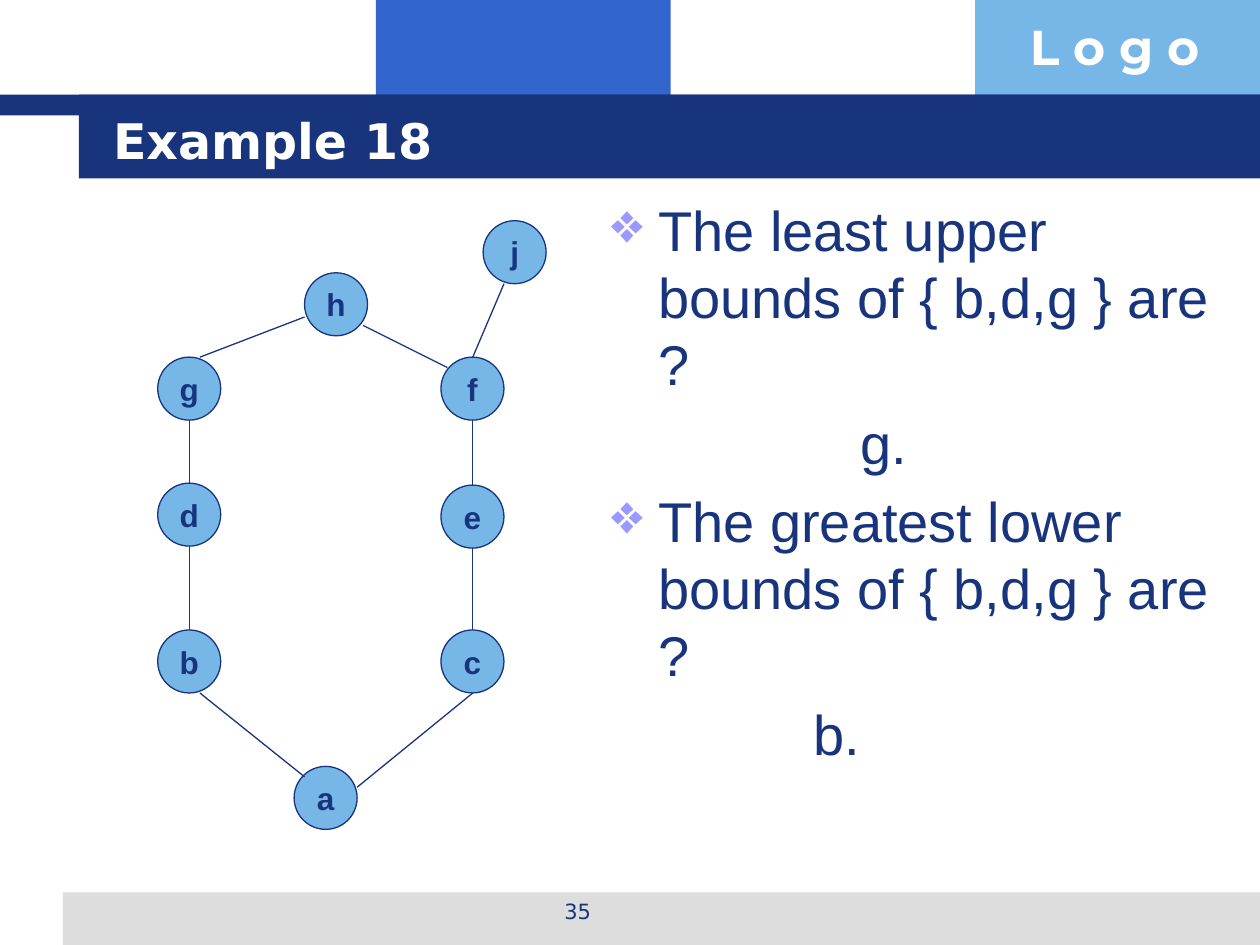
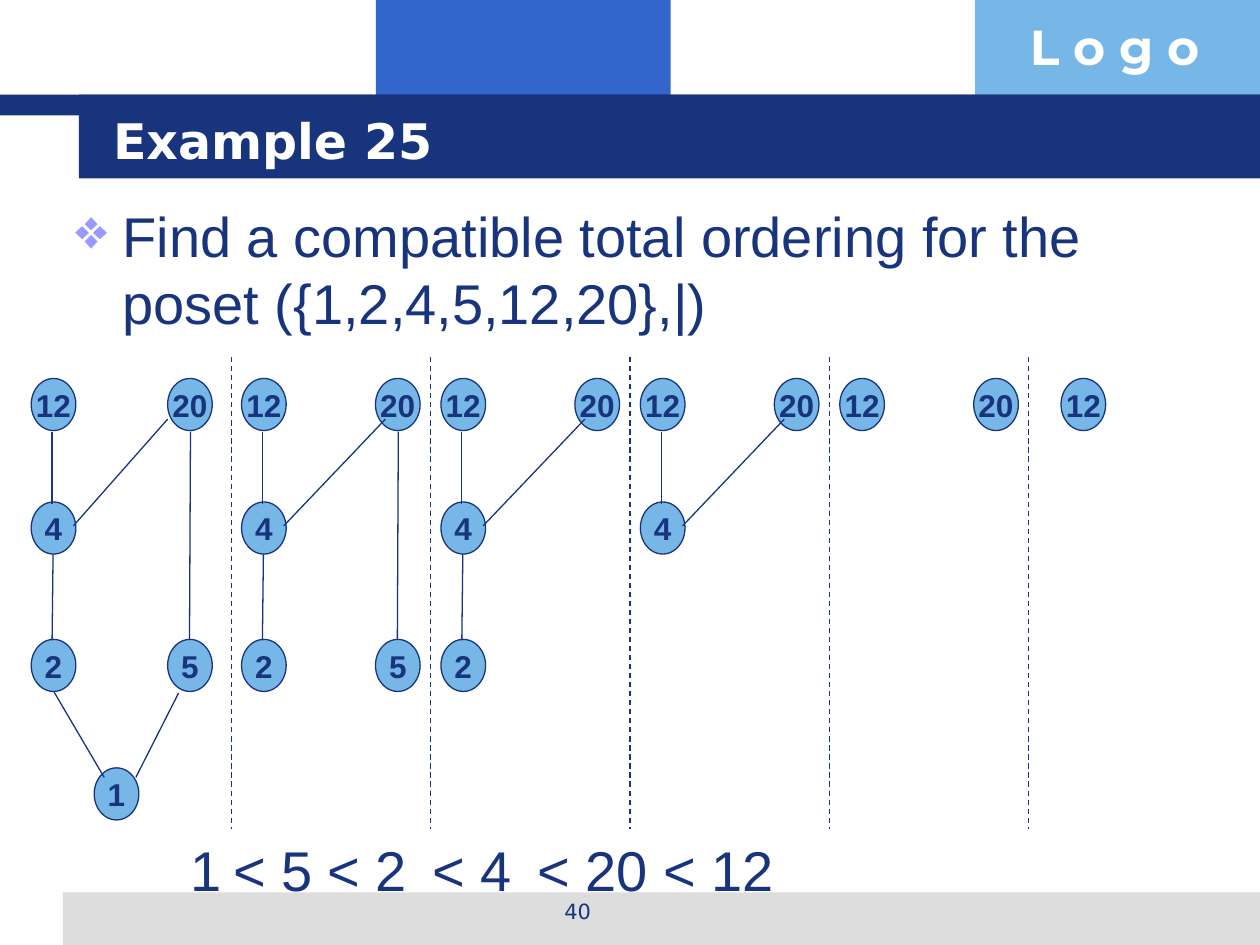
from dataclasses import dataclass
from typing import NamedTuple

from lxml.etree import SubElement
from pptx import Presentation
from pptx.dml.color import RGBColor
from pptx.enum.dml import MSO_LINE_DASH_STYLE as Dash
from pptx.enum.shapes import MSO_CONNECTOR as Connector, MSO_SHAPE as Preset
from pptx.enum.text import MSO_ANCHOR as Anchor, PP_ALIGN as Align
from pptx.oxml.ns import qn
from pptx.shapes.autoshape import Shape
from pptx.slide import Slide
from pptx.text.text import TextFrame
from pptx.util import Cm, Pt

COLORS = {
    "navy": "17347D",
    "blue": "3366CC",
    "sky": "77B7E7",
    "gray": "DDDDDD",
    "lilac": "9999FF",
    "white": "FFFFFF",
}
BODY_FONT = "Arial"
TITLE_FONT = "DejaVu Sans"
LOGO_FONT = "Montserrat"


class Box(NamedTuple):
    left: float
    top: float
    width: float
    height: float


class Point(NamedTuple):
    x: float
    y: float


class Band(NamedTuple):
    box: Box
    color: str


class Edge(NamedTuple):
    """A line between two nodes; its ends are measured from each node's corner."""
    upper: str
    lower: str
    start: Point
    end: Point


class Line(NamedTuple):
    text: str
    bullet: bool = False
    indent: float = 0


@dataclass
class Stage:
    """One step of the sort: the elements that are still left."""
    left: float
    elements: list[str]
    spread: float = 2.7
    slope_start: float = 0.2


# Shared frame of the slides
BANDS = [
    Band(Box(7.58, 0, 5.94, 2.34), "blue"),
    Band(Box(19.66, 0, 5.74, 2.34), "sky"),
    Band(Box(1.27, 17.99, 24.13, 1.06), "gray"),
    Band(Box(0, 1.91, 25.4, 0.42), "navy"),
    Band(Box(1.59, 1.91, 23.81, 1.69), "navy"),
]

# Example 18: Hasse diagram
NODE_SIZE = Point(1.27, 1.27)
LEFT_X, RIGHT_X = 3.18, 8.89
POSET_NODES = {
    "h": Point(6.14, 5.5),
    "g": Point(LEFT_X, 7.2),
    "f": Point(RIGHT_X, 7.2),
    "j": Point(9.74, 4.45),
    "d": Point(LEFT_X, 9.74),
    "e": Point(RIGHT_X, 9.78),
    "a": Point(5.93, 15.45),
    "c": Point(RIGHT_X, 12.7),
    "b": Point(LEFT_X, 12.7),
}
NODE_TOP, NODE_BOTTOM = Point(0.64, 0), Point(0.64, 1.27)
POSET_EDGES = [
    Edge("h", "g", Point(0, 0.89), Point(0.85, 0)),
    Edge("h", "f", Point(1.18, 1.06), Point(0.13, 0.21)),
    Edge("j", "f", Point(0.42, 1.27), NODE_TOP),
    *(Edge(upper, lower, NODE_BOTTOM, NODE_TOP)
      for upper, lower in ("gd", "db", "fe", "ec")),
    Edge("b", "a", Point(0.85, 1.27), Point(0.21, 0.21)),
    Edge("c", "a", NODE_BOTTOM, Point(1.27, 0.42)),
]

# Example 25: steps of the topological sort
ELEMENT_SIZE = Point(0.9, 1.05)
STAGE_TOP = 7.63
DIVIDER_LEFT, DIVIDER_PITCH = 4.66, 4.02
DIVIDER_TOP, DIVIDER_BOTTOM = 7.2, 16.72
DIVIDERS = [DIVIDER_LEFT + i * DIVIDER_PITCH for i in range(5)]
STAGE_MARGIN = 0.21
STAGES = [
    Stage(0.63, ["4", "2", "20", "12", "1", "5"], spread=2.75, slope_start=0),
    *(Stage(divider + STAGE_MARGIN, elements)
      for divider, elements in zip(DIVIDERS, [
          ["4", "2", "20", "12", "5"],
          ["4", "2", "20", "12"],
          ["4", "20", "12"],
          ["20", "12"],
      ])),
    Stage(21.39, ["12"]),
]
ORDERING = [
    ("1", 3.6, 1.7),
    ("< 5", 4.45, 2.34),
    ("< 2", 6.35, 2.34),
    ("< 4", 8.46, 2.34),
    ("< 20", 10.58, 3),
    ("< 12", 13.12, 3),
]


def rgb(name: str) -> RGBColor:
    return RGBColor.from_string(COLORS[name])


def write(frame: TextFrame, *lines: Line, size: float, font: str = BODY_FONT,
          color: str = "navy", bold: bool = False, align: Align = Align.LEFT,
          anchor: Anchor = Anchor.TOP, wrap: bool = True,
          before: float = 0) -> None:
    frame.word_wrap = wrap
    frame.vertical_anchor = anchor
    for i, line in enumerate(lines):
        paragraph = frame.add_paragraph() if i else frame.paragraphs[0]
        paragraph.alignment = align
        paragraph.space_before = Pt(before)
        run = paragraph.add_run()
        run.text = line.text
        run.font.name = font
        run.font.size = Pt(size)
        run.font.bold = bold
        run.font.color.rgb = rgb(color)
        properties = paragraph._p.get_or_add_pPr()
        if line.bullet:
            properties.set("marL", str(Cm(0.95)))
            properties.set("indent", str(-Cm(0.95)))
            bullet_color = SubElement(properties, qn("a:buClr"))
            SubElement(bullet_color, qn("a:srgbClr"), val=COLORS["lilac"])
            SubElement(properties, qn("a:buChar"), char="❖")
        elif line.indent:
            properties.set("marL", str(Cm(line.indent)))
            properties.set("indent", "0")


def add_text(slide: Slide, box: Box, *lines: Line, **text_format) -> None:
    text_box = slide.shapes.add_textbox(*map(Cm, box))
    write(text_box.text_frame, *lines, **text_format)


def add_filled(slide: Slide, preset: Preset, box: Box, color: str) -> Shape:
    shape = slide.shapes.add_shape(preset, *map(Cm, box))
    shape.shadow.inherit = False
    shape.fill.solid()
    shape.fill.fore_color.rgb = rgb(color)
    shape.line.fill.background()
    return shape


def add_node(slide: Slide, label: str, corner: Point, size: Point) -> None:
    node = add_filled(slide, Preset.OVAL, Box(*corner, *size), "sky")
    node.line.color.rgb = rgb("navy")
    node.line.width = Pt(0.75)
    write(node.text_frame, Line(label), size=18, bold=True,
          align=Align.CENTER, anchor=Anchor.MIDDLE, wrap=False)


def add_line(slide: Slide, start: Point, end: Point, dashed: bool = False) -> None:
    line = slide.shapes.add_connector(Connector.STRAIGHT, *map(Cm, (*start, *end)))
    line.line.color.rgb = rgb("navy")
    line.line.width = Pt(0.75)
    if dashed:
        line.line.dash_style = Dash.DASH
    SubElement(line._element.spPr, qn("a:effectLst"))


def draw_hasse(slide: Slide, nodes: dict[str, Point], edges: list[Edge],
               size: Point) -> None:
    for label, corner in nodes.items():
        add_node(slide, label, corner, size)
    for edge in edges:
        if edge.upper in nodes and edge.lower in nodes:
            upper, lower = nodes[edge.upper], nodes[edge.lower]
            add_line(slide,
                     Point(upper.x + edge.start.x, upper.y + edge.start.y),
                     Point(lower.x + edge.end.x, lower.y + edge.end.y))


def draw_stage(slide: Slide, stage: Stage) -> None:
    offsets = {
        "12": Point(0, 0),
        "20": Point(stage.spread, 0),
        "4": Point(0, 2.49),
        "2": Point(0, 5.26),
        "5": Point(stage.spread, 5.26),
        "1": Point(1.27, 7.85),
    }
    edges = [
        Edge("20", "4", Point(stage.slope_start, 0.82), Point(0.85, 0.48)),
        Edge("12", "4", Point(0.42, 1.07), Point(0.42, 0.05)),
        Edge("4", "2", Point(0.44, 1.05), Point(0.42, 0.02)),
        Edge("20", "5", Point(0.46, 1.07), Point(0.44, 0)),
        Edge("2", "1", Point(0.46, 1.06), Point(0.2, 0.19)),
        Edge("5", "1", Point(0.22, 1.08), Point(0.84, 0.19)),
    ]
    nodes = {
        element: Point(stage.left + offsets[element].x,
                       STAGE_TOP + offsets[element].y)
        for element in stage.elements
    }
    draw_hasse(slide, nodes, edges, ELEMENT_SIZE)


def add_framed_slide(deck: Presentation, title: str, number: int) -> Slide:
    slide = deck.slides.add_slide(deck.slide_layouts[6])
    for band in BANDS:
        add_filled(slide, Preset.RECTANGLE, band.box, band.color)
    add_text(slide, Box(20.51, 0.21, 4.89, 1.45), Line("L o g o"),
             size=28, font=LOGO_FONT, color="white", bold=True)
    add_text(slide, Box(8.68, 17.99, 5.93, 0.89), Line(str(number)),
             size=12, font=TITLE_FONT, align=Align.CENTER)
    add_text(slide, Box(2.03, 2.03, 21.67, 1.58), Line(title), size=28,
             font=TITLE_FONT, color="white", bold=True, anchor=Anchor.MIDDLE)
    return slide


def build_bounds_slide(deck: Presentation) -> None:
    slide = add_framed_slide(deck, "Example 18", 35)
    add_text(slide, Box(12.07, 3.81, 12.7, 12.5),
             Line("The least upper bounds of { b,d,g } are ?", bullet=True),
             Line("g.", indent=5.02),
             Line("The greatest lower bounds of { b,d,g } are ?", bullet=True),
             Line("b.", indent=4.08),
             size=32, before=6.4)
    draw_hasse(slide, POSET_NODES, POSET_EDGES, NODE_SIZE)


def build_ordering_slide(deck: Presentation) -> None:
    slide = add_framed_slide(deck, "Example 25", 40)
    question = "Find a compatible total ordering for the poset ({1,2,4,5,12,20},|)"
    add_text(slide, Box(1.27, 3.94, 22.86, 3.45), Line(question, bullet=True),
             size=32, before=6.4)
    for stage in STAGES:
        draw_stage(slide, stage)
    for x in DIVIDERS:
        add_line(slide, Point(x, DIVIDER_TOP), Point(x, DIVIDER_BOTTOM), dashed=True)
    for term, left, width in ORDERING:
        add_text(slide, Box(left, 16.72, width, 1.27), Line(term),
                 size=32, before=6.4)


def main() -> None:
    deck = Presentation()
    deck.slide_width, deck.slide_height = Cm(25.4), Cm(19.05)
    build_bounds_slide(deck)
    build_ordering_slide(deck)
    deck.save("out.pptx")


if __name__ == "__main__":
    main()
